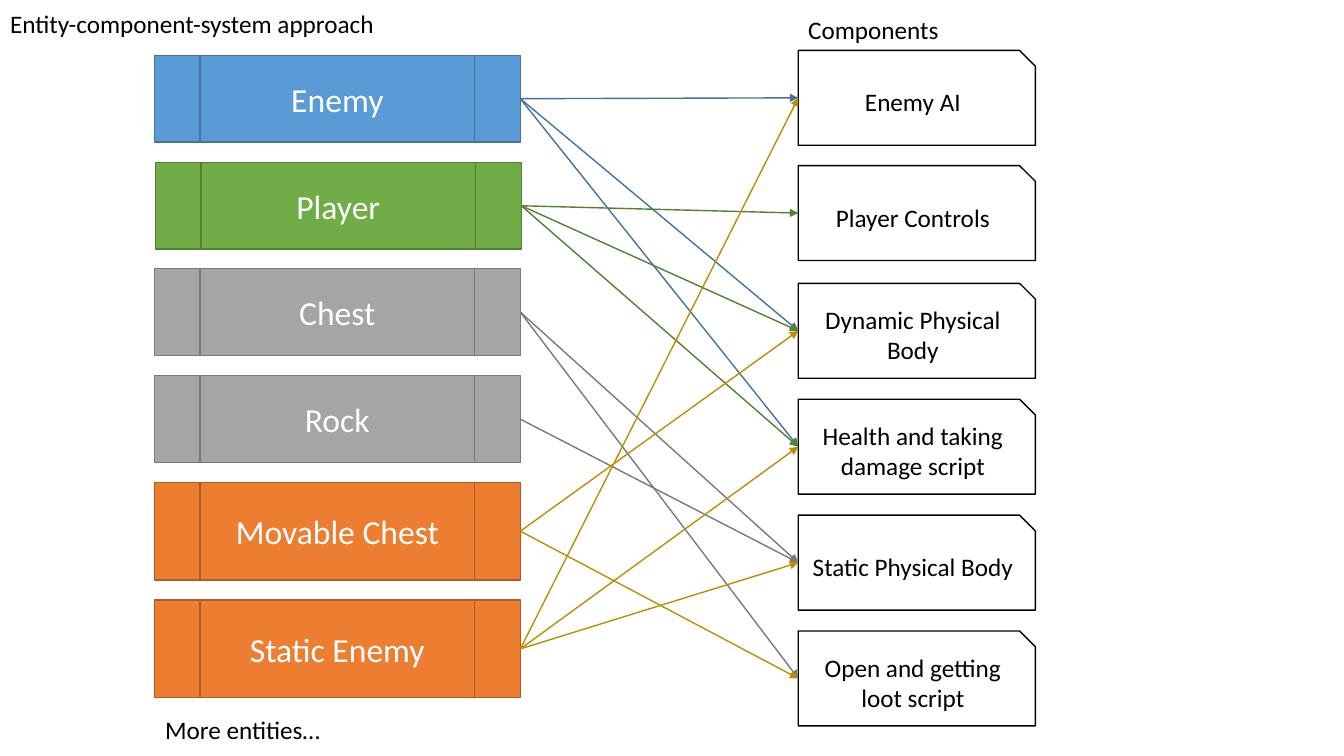
import pptx
import pptx.util
import pptx.dml.color
import pptx.enum.shapes
import pptx.enum.text
import pptx.oxml
import pptx.oxml.ns

Pt = pptx.util.Pt
RGBColor = pptx.dml.color.RGBColor
Shape = pptx.enum.shapes.MSO_SHAPE
Anchor = pptx.enum.text.MSO_ANCHOR
Align = pptx.enum.text.PP_ALIGN
AutoSize = pptx.enum.text.MSO_AUTO_SIZE

FONT = "Calibri"
BLACK = RGBColor(0x00, 0x00, 0x00)
WHITE = RGBColor(0xFF, 0xFF, 0xFF)
BLUE, DARK_BLUE = RGBColor(0x5B, 0x9B, 0xD5), RGBColor(0x43, 0x73, 0x9E)
GREEN, DARK_GREEN = RGBColor(0x70, 0xAD, 0x47), RGBColor(0x53, 0x80, 0x35)
GRAY, DARK_GRAY = RGBColor(0xA5, 0xA5, 0xA5), RGBColor(0x7A, 0x7A, 0x7A)
ORANGE, DARK_ORANGE = RGBColor(0xED, 0x7D, 0x31), RGBColor(0xAF, 0x5C, 0x24)
GOLD = RGBColor(0xBD, 0x8E, 0x00)

ENTITY_WIDTH = 261.5
COMPONENT_LEFT, COMPONENT_WIDTH, COMPONENT_HEIGHT = 570.2, 169.4, 67.8
RIGHT_SITE, SNIP_LEFT_SITE = 3, 2

# name, left, top, height, fill, outline, arrow colour, components used
ENTITIES = [
    ("Enemy", 110.2, 39.5, 62, BLUE, DARK_BLUE, DARK_BLUE,
     ["Enemy AI", "Dynamic Physical Body", "Health and taking damage script"]),
    ("Player", 110.9, 116, 62, GREEN, DARK_GREEN, DARK_GREEN,
     ["Player Controls", "Dynamic Physical Body", "Health and taking damage script"]),
    ("Chest", 110.2, 192, 62, GRAY, DARK_GRAY, DARK_GRAY,
     ["Static Physical Body", "Open and getting loot script"]),
    ("Rock", 110.2, 268.4, 62, GRAY, DARK_GRAY, DARK_GRAY,
     ["Static Physical Body"]),
    ("Movable Chest", 110.2, 344.5, 69.8, ORANGE, DARK_ORANGE, GOLD,
     ["Dynamic Physical Body", "Open and getting loot script"]),
    ("Static Enemy", 110.2, 428.6, 69.8, ORANGE, DARK_ORANGE, GOLD,
     ["Static Physical Body", "Health and taking damage script", "Enemy AI"]),
]

COMPONENT_TOPS = {
    "Enemy AI": 36,
    "Player Controls": 118.3,
    "Dynamic Physical Body": 202.4,
    "Health and taking damage script": 285.2,
    "Static Physical Body": 368,
    "Open and getting loot script": 450.7,
}


def write_text(shape, text, size, color, align, anchor):
    """Fill a shape with one formatted run of wrapped text."""
    frame = shape.text_frame
    frame.word_wrap = True
    frame.auto_size = AutoSize.NONE
    frame.vertical_anchor = anchor
    paragraph = frame.paragraphs[0]
    paragraph.alignment = align
    run = paragraph.add_run()
    run.text = text
    run.font.name = FONT
    run.font.size = Pt(size)
    run.font.color.rgb = color


def add_box(slide, kind, bounds, fill, outline, text, size, color):
    """Add a filled, outlined preset shape with centred text."""
    shape = slide.shapes.add_shape(kind, *map(Pt, bounds))
    shape.shadow.inherit = False
    shape.fill.solid()
    shape.fill.fore_color.rgb = fill
    shape.line.color.rgb = outline
    shape.line.width = Pt(1)
    write_text(shape, text, size, color, Align.CENTER, Anchor.MIDDLE)
    return shape


def add_label(slide, left, top, text):
    """Add a plain caption."""
    label = slide.shapes.add_textbox(Pt(left), Pt(top), Pt(197.5), Pt(29))
    write_text(label, text, 18, BLACK, Align.LEFT, Anchor.TOP)


def add_title(slide, text):
    """Move the title placeholder to the top left corner and fill it."""
    title = slide.shapes.title
    title.left, title.top, title.width, title.height = map(Pt, (0, 2.2, 400, 29))
    write_text(title, text, 18, BLACK, Align.LEFT, Anchor.TOP)


def add_arrow(slide, entity, component, color):
    """Draw an arrow from an entity's right side to a component's left side."""
    arrow = slide.shapes.add_connector(
        pptx.enum.shapes.MSO_CONNECTOR.STRAIGHT, 0, 0, 0, 0)
    arrow.begin_connect(entity, RIGHT_SITE)
    arrow.end_connect(component, SNIP_LEFT_SITE)
    arrow.end_x = component.left
    arrow.end_y = component.top + component.height // 2
    arrow.line.color.rgb = color
    arrow.line.width = Pt(1)
    properties = arrow._element.spPr
    line = properties.find(pptx.oxml.ns.qn("a:ln"))
    namespace = pptx.oxml.ns.nsdecls("a")
    line.append(pptx.oxml.parse_xml(f'<a:tailEnd {namespace} type="triangle"/>'))
    properties.append(pptx.oxml.parse_xml(f"<a:effectLst {namespace}/>"))


def main():
    """Build the entity-component-system slide."""
    presentation = pptx.Presentation()
    presentation.slide_width = Pt(960)
    presentation.slide_height = Pt(540)
    slide = presentation.slides.add_slide(presentation.slide_layouts[5])

    add_title(slide, "Entity-component-system approach")
    add_label(slide, 110.9, 507, "More entities…")
    add_label(slide, COMPONENT_LEFT, 6.5, "Components")

    components = {}
    for name, top in COMPONENT_TOPS.items():
        bounds = (COMPONENT_LEFT, top, COMPONENT_WIDTH, COMPONENT_HEIGHT)
        components[name] = add_box(slide, Shape.SNIP_1_RECTANGLE, bounds,
                                   WHITE, BLACK, name, 18, BLACK)

    for name, left, top, height, fill, outline, arrow_color, used in ENTITIES:
        bounds = (left, top, ENTITY_WIDTH, height)
        entity = add_box(slide, Shape.FLOWCHART_PREDEFINED_PROCESS, bounds,
                         fill, outline, name, 24, WHITE)
        for component in used:
            add_arrow(slide, entity, components[component], arrow_color)

    presentation.save("out.pptx")


main()
